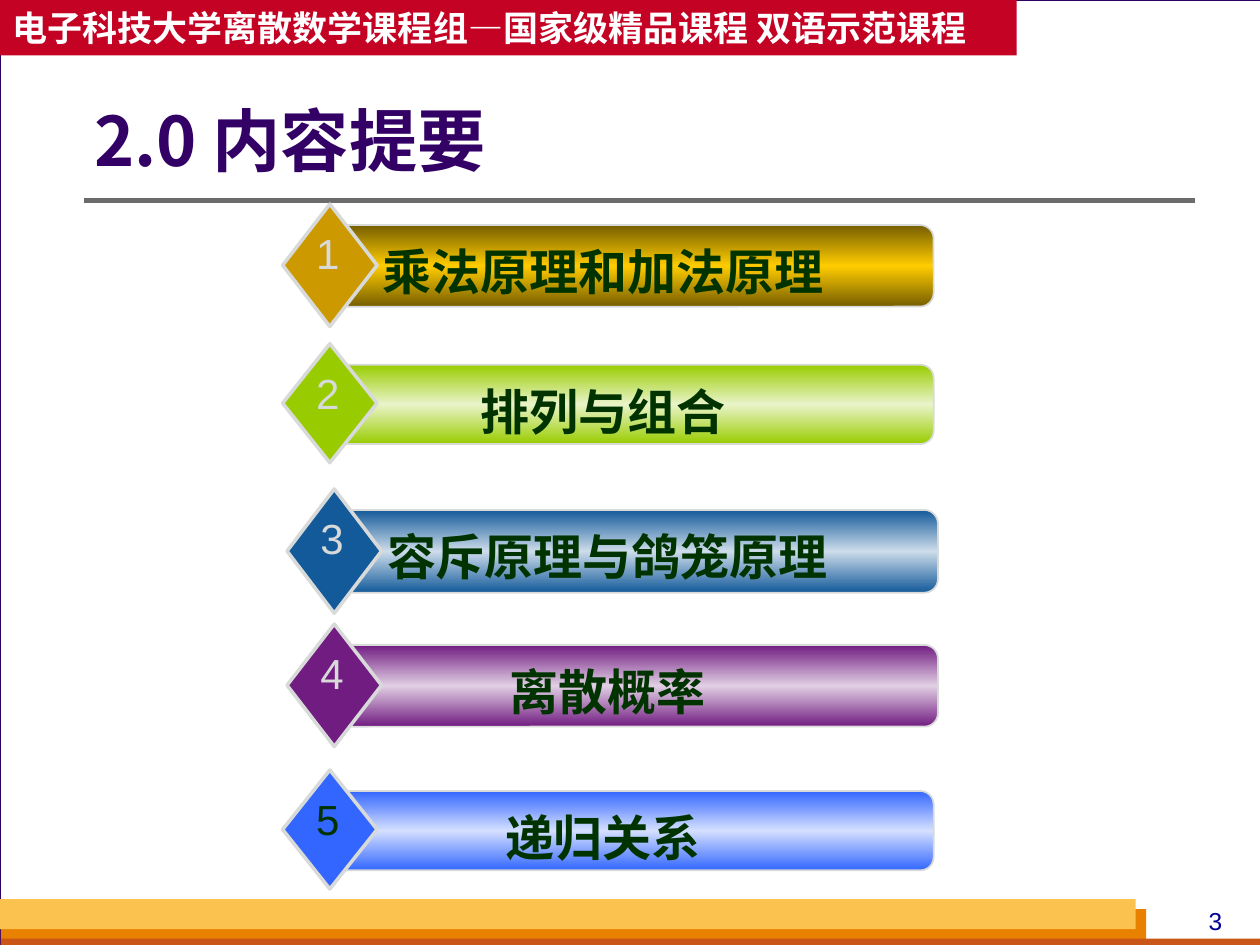
import copy

import pptx
import pptx.dml.color
import pptx.enum.shapes
import pptx.enum.text
import pptx.oxml
import pptx.oxml.ns
import pptx.util

Pt = pptx.util.Pt
RGB = pptx.dml.color.RGBColor
SHAPE = pptx.enum.shapes.MSO_SHAPE
ALIGN = pptx.enum.text.PP_ALIGN
ANCHOR = pptx.enum.text.MSO_ANCHOR
qn = pptx.oxml.ns.qn

WHITE = RGB(0xFF, 0xFF, 0xFF)
SILVER = RGB(0xD8, 0xDA, 0xDA)
GREY = RGB(0x6B, 0x6B, 0x6B)
INDIGO = RGB(0x33, 0x00, 0x66)
NAVY = RGB(0x00, 0x00, 0x99)
DARK_GREEN = RGB(0x00, 0x33, 0x00)
CRIMSON = RGB(0xC3, 0x02, 0x24)
ORANGE = RGB(0xE8, 0x80, 0x00)
RUST = RGB(0xC9, 0x56, 0x16)
AMBER = RGB(0xFC, 0xC2, 0x4F)
GOLD = RGB(0xCC, 0x99, 0x00)
BRONZE = RGB(0x76, 0x5E, 0x00)
YELLOW = RGB(0xFF, 0xCC, 0x00)
LIME = RGB(0x99, 0xCC, 0x00)
PALE_LIME = RGB(0xE9, 0xF4, 0xC9)
BLUE = RGB(0x13, 0x5A, 0x9A)
PALE_BLUE = RGB(0xCD, 0xDC, 0xEA)
PURPLE = RGB(0x71, 0x1C, 0x81)
PALE_PURPLE = RGB(0xE1, 0xCF, 0xE4)
AZURE = RGB(0x33, 0x66, 0xFF)
PALE_AZURE = RGB(0xD4, 0xDF, 0xFF)

LATIN_FONT = "Arial"
CHINESE_FONT = "Noto Sans CJK SC"

# Number, topic, left, top, height, diamond, bar edge, bar middle, number colour
TOPICS = [
    ("1", "乘法原理和加法原理", 161.5, 116.6, 70, GOLD, BRONZE, YELLOW, SILVER),
    ("2", "排列与组合", 161.5, 196.4, 68, LIME, LIME, PALE_LIME, SILVER),
    ("3", "容斥原理与鸽笼原理", 164, 279.4, 71, BLUE, BLUE, PALE_BLUE, SILVER),
    ("4", "离散概率", 164, 356.6, 70, PURPLE, PURPLE, PALE_PURPLE, SILVER),
    ("5", "递归关系", 161.5, 440, 68, AZURE, AZURE, PALE_AZURE, DARK_GREEN),
]


class Deck:
    """Holds the presentation, its text style and the current slide."""

    def __init__(self):
        self.presentation = pptx.Presentation()
        self.presentation.slide_width = Pt(720)
        self.presentation.slide_height = Pt(540)
        self.slide = self.presentation.slides.add_slide(
            self.presentation.slide_layouts[6])
        background = self.slide.background.fill
        background.solid()
        background.fore_color.rgb = SILVER

    def shape(self, kind, box, fill, line=None, width=1, parent=None):
        shapes = (parent or self.slide).shapes
        shape = shapes.add_shape(kind, *map(Pt, box))
        shape.shadow.inherit = False
        if isinstance(fill, RGB):
            shape.fill.solid()
            shape.fill.fore_color.rgb = fill
        else:
            self.gradient(shape, fill)
        if line is None:
            shape.line.fill.background()
        else:
            shape.line.color.rgb = line
            shape.line.width = Pt(width)
        return shape

    def gradient(self, shape, colours):
        """Vertical blend from edge colour to middle colour and back."""
        edge, middle = colours
        shape.fill.gradient()
        shape.fill.gradient_angle = 90
        stops = shape._element.spPr.find(".//" + qn("a:gsLst"))
        stops.append(copy.deepcopy(stops[0]))
        for stop, position, colour in zip(
                shape.fill.gradient_stops, (0, 0.5, 1), (edge, middle, edge)):
            stop.position = position
            stop.color.rgb = colour

    def rule(self, x1, x2, y, colour, width):
        rule = self.slide.shapes.add_connector(
            pptx.enum.shapes.MSO_CONNECTOR.STRAIGHT,
            Pt(x1), Pt(y), Pt(x2), Pt(y))
        rule.line.color.rgb = colour
        rule.line.width = Pt(width)
        rule._element.spPr.append(pptx.oxml.parse_xml(
            "<a:effectLst %s/>" % pptx.oxml.ns.nsdecls("a")))

    def label(self, shape, text, size, colour, font=LATIN_FONT, bold=False,
              align=ALIGN.CENTER, anchor=ANCHOR.TOP, wrap=True):
        frame = shape.text_frame
        frame.text = text
        frame.word_wrap = wrap
        frame.vertical_anchor = anchor
        paragraph = frame.paragraphs[0]
        paragraph.alignment = align
        run = paragraph.runs[0]
        run.font.size = Pt(size)
        run.font.bold = bold
        run.font.color.rgb = colour
        run.font.name = font
        east_asian = pptx.oxml.parse_xml(
            "<a:ea %s/>" % pptx.oxml.ns.nsdecls("a"))
        east_asian.set("typeface", CHINESE_FONT)
        run.font._element.find(qn("a:latin")).addnext(east_asian)
        return paragraph

    def text(self, box, text, size, colour, parent=None, **style):
        shapes = (parent or self.slide).shapes
        return self.label(shapes.add_textbox(*map(Pt, box)),
                          text, size, colour, **style)

    def topic(self, number, name, left, top, height,
              diamond, edge, middle, number_colour):
        group = self.slide.shapes.add_group_shape()
        self.shape(SHAPE.ROUNDED_RECTANGLE,
                   (left + 30, top + 12, 342, height * 2 / 3),
                   (edge, middle), SILVER, 1, group)
        self.shape(SHAPE.DIAMOND, (left, top, 54, height),
                   diamond, SILVER, 2, group)
        self.text((left + 48, top + 17.8, 270, 41), name, 28, DARK_GREEN,
                  group, bold=True)
        self.text((left + 12, top + 10, 27.4, 36), number, 24, number_colour,
                  group, wrap=False)


def main():
    deck = Deck()

    # Page frame and footer bands
    deck.shape(SHAPE.RECTANGLE, (0, 0, 720.5, 540), WHITE, INDIGO, 0.75)
    deck.shape(SHAPE.RECTANGLE, (0.5, 519.6, 654.5, 20.4), ORANGE)
    deck.shape(SHAPE.RECTANGLE, (0.5, 536.4, 720, 5.6), RUST)
    deck.shape(SHAPE.RECTANGLE, (0, 513.8, 649, 17.2), AMBER)
    deck.text((672, 514, 45, 24.5), "3", 14, NAVY)

    # Header band and title
    deck.rule(48, 683, 114.6, GREY, 3)
    header = deck.shape(SHAPE.RECTANGLE, (0, 0, 581, 31.6), CRIMSON)
    deck.label(header, "电子科技大学离散数学课程组—国家级精品课程 双语示范课程",
               20, WHITE, font=CHINESE_FONT, bold=True, align=ALIGN.LEFT,
               anchor=ANCHOR.MIDDLE, wrap=False)
    title_box = deck.slide.shapes.add_textbox(
        Pt(54), Pt(54.7), Pt(625), Pt(56))
    title_box.text_frame.margin_left = 0
    title = deck.label(title_box, "2.0 内容提要", 39, INDIGO,
                       font=CHINESE_FONT, bold=True, align=ALIGN.LEFT,
                       anchor=ANCHOR.MIDDLE)
    title.line_spacing = 0.9

    # Numbered topics
    for topic in TOPICS:
        deck.topic(*topic)

    deck.presentation.save("out.pptx")


if __name__ == "__main__":
    main()
